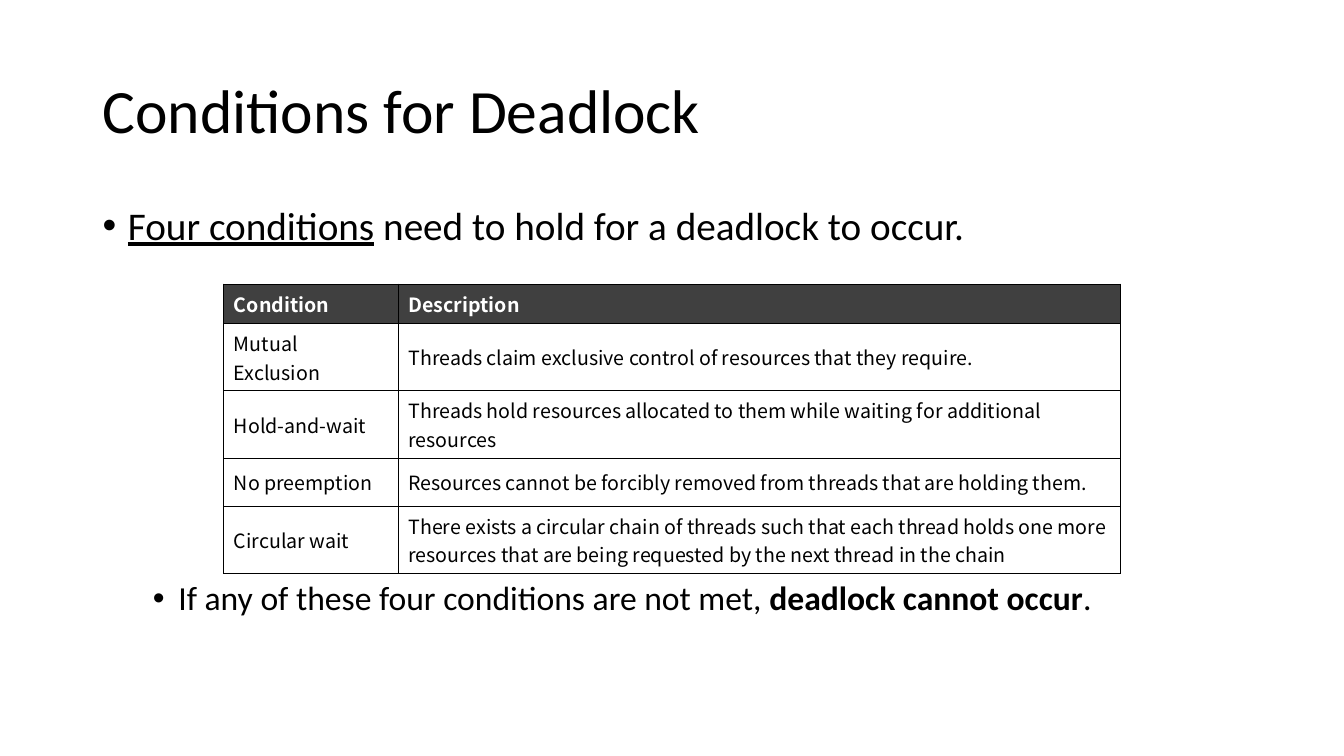
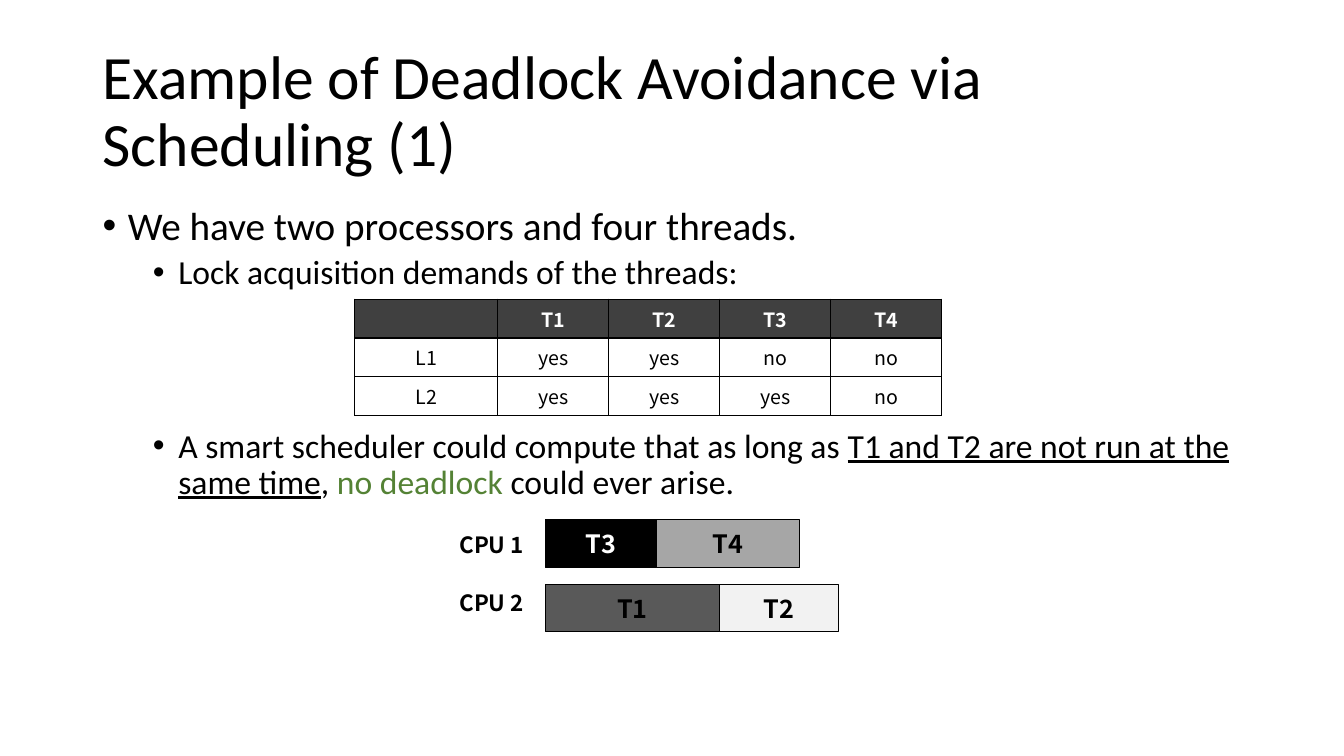
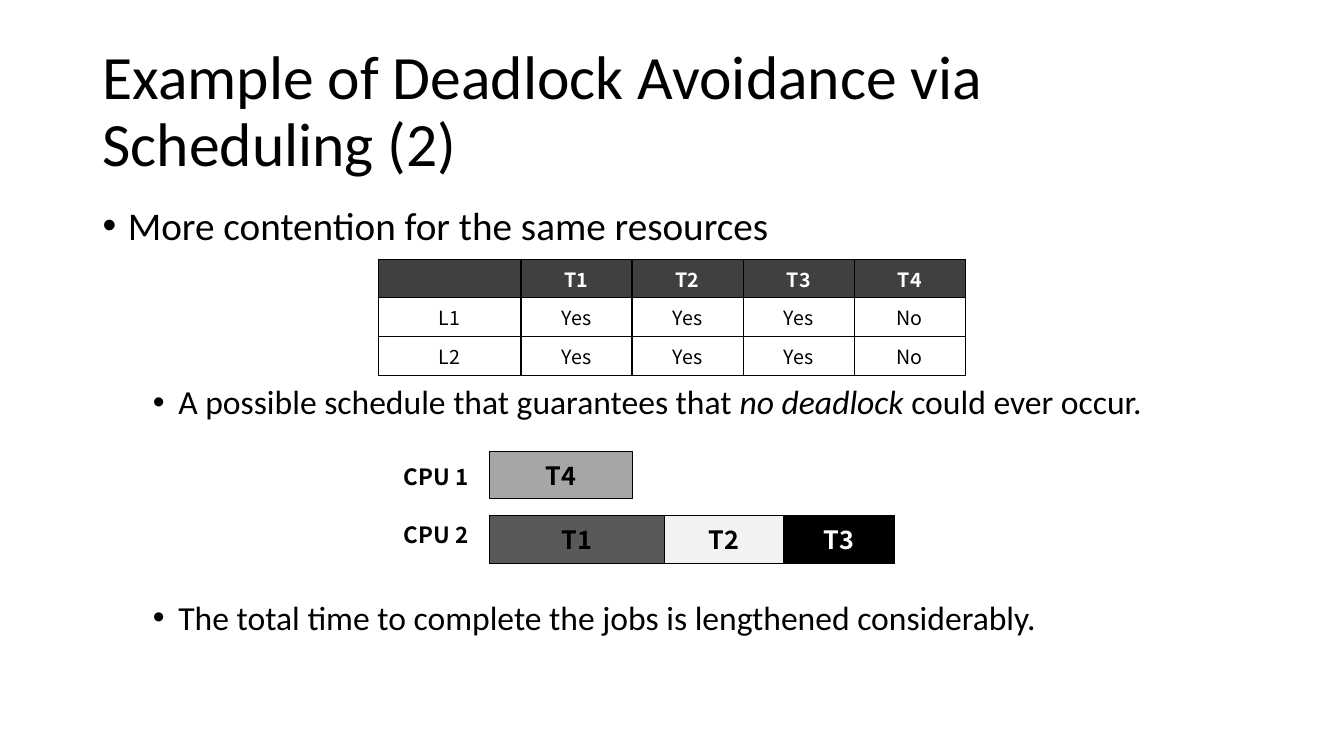
from lxml import etree
from pptx import Presentation
from pptx.dml.color import RGBColor
from pptx.enum.shapes import MSO_SHAPE
from pptx.enum.text import MSO_ANCHOR, MSO_AUTO_SIZE, PP_ALIGN
from pptx.oxml.ns import qn
from pptx.util import Cm, Pt

LEFT, MID = PP_ALIGN.LEFT, PP_ALIGN.CENTER
CENTER = MSO_ANCHOR.MIDDLE
FIXED = MSO_AUTO_SIZE.NONE
RECT = MSO_SHAPE.RECTANGLE

HUE = {
    "black": "000000", "white": "FFFFFF", "head": "404040", "green": "548235",
    "T1": "595959", "T2": "F2F2F2", "T3": "000000", "T4": "A6A6A6",
}
RGB = {name: RGBColor.from_string(code) for name, code in HUE.items()}
SANS, NOTO = "Calibri", "Noto Sans CJK KR"
SPAN = {"T1": 4.4, "T2": 3, "T3": 2.8, "T4": 3.6}
LOCKS = {"cols": [3.6] + [2.8] * 4, "rows": [0.97] * 3, "align": MID}
HEAD = ["", "T1", "T2", "T3", "T4"]

SLIDES = [
    {
        "title": "Conditions for Deadlock",
        "list": [
            (0, 10, [("Four conditions", "line"), (" need to hold for a deadlock to occur.", "")]),
            (1, 238, [("If any of these four conditions are not met, ", ""),
                      ("deadlock cannot occur", "bold"), (".", "")]),
        ],
        "table": {
            "at": (5.64, 7.16), "cols": [4.4, 18.2], "align": LEFT,
            "rows": [0.99, 1.7, 1.7, 1.21, 1.7],
            "data": [
                ["Condition", "Description"],
                ["Mutual Exclusion", "Threads claim exclusive control of resources that they require."],
                ["Hold-and-wait", "Threads hold resources allocated to them while waiting for additional resources"],
                ["No preemption", "Resources cannot be forcibly removed from threads that are holding them."],
                ["Circular wait", "There exists a circular chain of threads such that each thread holds one more "
                                  "resources that are being requested by the next thread in the chain"],
            ],
        },
        "at": (0, 0), "jobs": [],
    },
    {
        "title": "Example of Deadlock Avoidance via Scheduling (1)",
        "list": [
            (0, 10, [("We have two processors and four threads.", "")]),
            (1, 5, [("Lock acquisition demands of the threads:", "")]),
            (1, 98, [("A smart scheduler could compute that as long as ", ""),
                     ("T1 and T2 are not run at the same time", "line"), (", ", ""),
                     ("no deadlock ", "green"), ("could ever arise.", "")]),
        ],
        "table": {
            **LOCKS, "at": (8.94, 7.54),
            "data": [HEAD, ["L1", "yes", "yes", "no", "no"], ["L2", "yes", "yes", "yes", "no"]],
        },
        "at": (13.74, 13.1), "jobs": [["T3", "T4"], ["T1", "T2"]],
    },
    {
        "title": "Example of Deadlock Avoidance via Scheduling (2)",
        "list": [
            (0, 10, [("More contention for the same resources", "")]),
            (1, 98, [("A possible schedule that guarantees that ", ""),
                     ("no deadlock ", "slant"), ("could ever occur.", "")]),
            (1, 128, [("The total time to complete the jobs is lengthened considerably.", "")]),
        ],
        "table": {
            **LOCKS, "at": (9.53, 6.53),
            "data": [HEAD] + [[lock, "Yes", "Yes", "Yes", "No"] for lock in ("L1", "L2")],
        },
        "at": (12.34, 11.37), "jobs": [["T4"], ["T1", "T2", "T3"]],
    },
]


def style(para, face, size, hue="black", bold=False, align=LEFT):
    para.alignment = align
    font = para.font
    font.name, font.size, font.bold = face, Pt(size), bold
    font.color.rgb = RGB[hue]


def edge(cell):
    props = cell._tc.get_or_add_tcPr()
    for side in ("lnL", "lnR", "lnT", "lnB"):
        line = etree.SubElement(props, qn("a:" + side), w=str(Pt(1)))
        fill = etree.SubElement(line, qn("a:solidFill"))
        etree.SubElement(fill, qn("a:srgbClr"), val=HUE["black"])


deck = Presentation()
deck.slide_width, deck.slide_height = Cm(33.87), Cm(19.05)
base = deck.slide_layouts[1]
for hold, top, high in zip(base.placeholders, (1.01, 5.07), (3.68, 12.09)):
    hold.left, hold.top, hold.width, hold.height = Cm(2.33), Cm(top), Cm(29.21), Cm(high)

for item in SLIDES:
    slide = deck.slides.add_slide(base)
    title, body = slide.placeholders
    title.text_frame.text = item["title"]
    title.text_frame.auto_size = FIXED
    title.text_frame.vertical_anchor = CENTER
    para = title.text_frame.paragraphs[0]
    para.line_spacing = 0.9
    style(para, SANS, 44)

    frame = body.text_frame
    frame.auto_size = FIXED
    for i, (level, gap, runs) in enumerate(item["list"]):
        para = frame.add_paragraph() if i else frame.paragraphs[0]
        para.level = level
        para.line_spacing, para.space_before = 0.9, Pt(gap)
        props = para._p.get_or_add_pPr()
        props.set("marL", str(Cm(0.64 + 1.27 * level)))
        props.set("indent", str(Cm(-0.64)))
        etree.SubElement(props, qn("a:buFont"), typeface="Arial")
        etree.SubElement(props, qn("a:buChar"), char="•")
        style(para, SANS, 24 if level else 28)
        for text, look in runs:
            run = para.add_run()
            run.text = text
            if look == "line":
                run.font.underline = True
            elif look == "bold":
                run.font.bold = True
            elif look == "slant":
                run.font.italic = True
            elif look:
                run.font.color.rgb = RGB[look]

    plan = item["table"]
    cols, rows = plan["cols"], plan["rows"]
    left, top = plan["at"]
    table = slide.shapes.add_table(
        len(rows), len(cols), Cm(left), Cm(top), Cm(sum(cols)), Cm(sum(rows))).table
    for col, wide in zip(table.columns, cols):
        col.width = Cm(wide)
    for r, (row, high) in enumerate(zip(table.rows, rows)):
        row.height = Cm(high)
        for cell, text in zip(row.cells, plan["data"][r]):
            edge(cell)
            cell.fill.solid()
            cell.fill.fore_color.rgb = RGB["white" if r else "head"]
            cell.vertical_anchor = CENTER
            cell.text = text
            style(cell.text_frame.paragraphs[0], NOTO, 14,
                  "black" if r else "white", not r, plan["align"])

    left, top = item["at"]
    for i, jobs in enumerate(item["jobs"]):
        label = slide.shapes.add_textbox(
            Cm(left - 2.41), Cm(top + 0.17 + 1.46 * i), Cm(2.18), Cm(0.94))
        label.text_frame.word_wrap = False
        label.text_frame.text = f"CPU {i + 1}"
        style(label.text_frame.paragraphs[0], NOTO, 16, bold=True)
        start = left
        for job in jobs:
            bar = slide.shapes.add_shape(
                RECT, Cm(start), Cm(top + 1.62 * i), Cm(SPAN[job]), Cm(1.2))
            start += SPAN[job]
            bar.shadow.inherit = False
            bar.fill.solid()
            bar.fill.fore_color.rgb = RGB[job]
            bar.line.color.rgb = RGB["black"]
            bar.line.width = Pt(0.75)
            bar.text_frame.vertical_anchor = CENTER
            bar.text_frame.text = job
            style(bar.text_frame.paragraphs[0], NOTO, 18,
                  "white" if job == "T3" else "black", True, MID)

deck.save("out.pptx")
